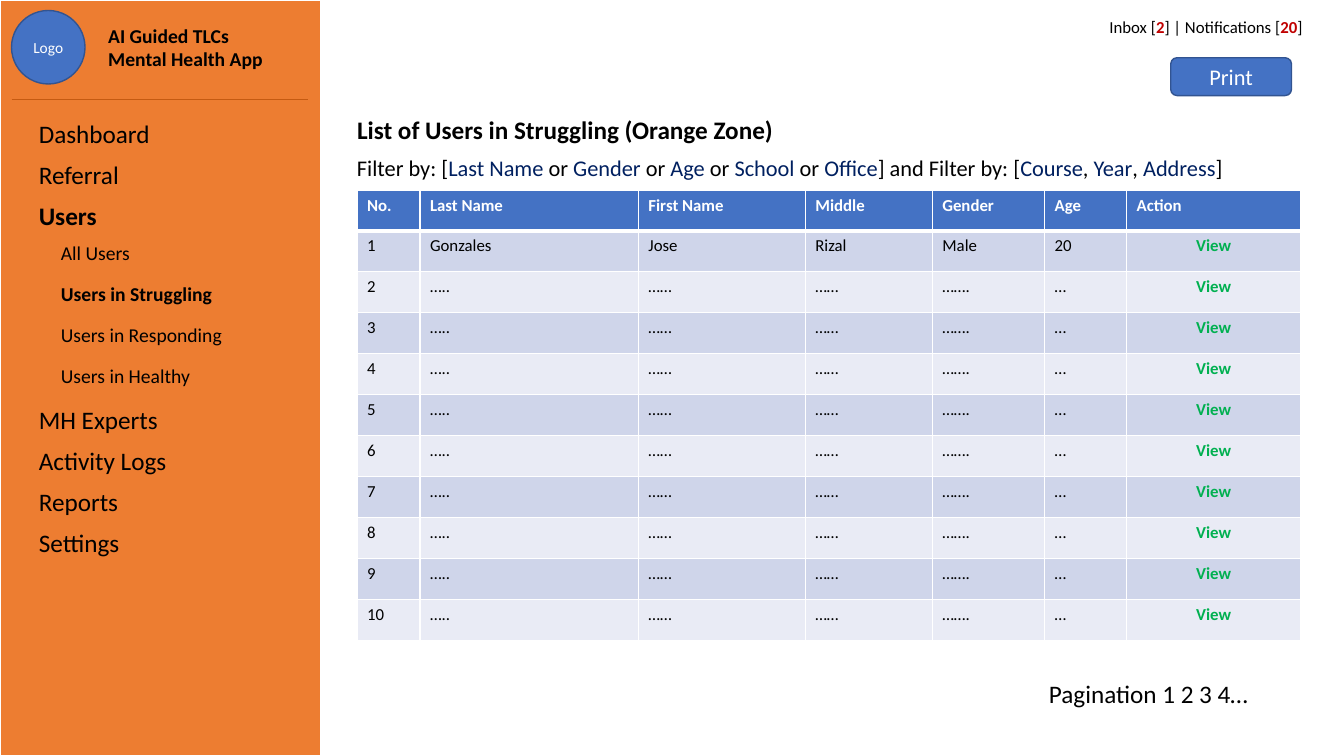
import dataclasses

import lxml.etree
import pptx
import pptx.dml.color
import pptx.enum.shapes
import pptx.enum.text
import pptx.oxml.ns
import pptx.util

EMU_PER_PX = 9525
SHAPES = pptx.enum.shapes.MSO_SHAPE
ALIGN = pptx.enum.text.PP_ALIGN
ANCHOR = pptx.enum.text.MSO_ANCHOR
PLAIN_TABLE_STYLE = "{2D5ABB26-0587-4C30-8999-92F81FD0307C}"


@dataclasses.dataclass(frozen=True)
class Theme:
    font: str = "Calibri"
    sidebar: str = "ED7D31"
    divider: str = "C55A11"
    accent: str = "4472C4"
    accent_edge: str = "325491"
    white: str = "FFFFFF"
    black: str = "000000"
    band_dark: str = "CFD5EA"
    band_light: str = "E9EBF5"
    count: str = "C00000"
    filter: str = "002060"
    view: str = "00B050"
    heading_size: int = 18
    filter_size: int = 16
    submenu_size: int = 14
    small_size: int = 12
    logo_size: int = 11


THEME = Theme()

MENU = [
    ("Dashboard", 0), ("Referral", 0), ("Users", 0),
    ("All Users", 1), ("Users in Struggling", 1),
    ("Users in Responding", 1), ("Users in Healthy", 1),
    ("MH Experts", 0), ("Activity Logs", 0), ("Reports", 0), ("Settings", 0),
]
ACTIVE_ITEMS = {"Users", "Users in Struggling"}
USER_COLUMNS = {
    "No.": 60, "Last Name": 208, "First Name": 159, "Middle": 121,
    "Gender": 107, "Age": 78, "Action": 166,
}
FIRST_USER = ["Gonzales", "Jose", "Rizal", "Male", "20"]
BLANK_USER = ["…..", "……", "……", "…….", "…"]
USER_COUNT = 10
ROW_HEIGHT = 39


def px(length):
    return pptx.util.Emu(length * EMU_PER_PX)


def box(*lengths):
    return [px(length) for length in lengths]


def rgb(color):
    return pptx.dml.color.RGBColor.from_string(color)


def write(frame, text, size=THEME.small_size, color=THEME.black, bold=False, align=ALIGN.LEFT):
    runs = [(text, color, bold)] if isinstance(text, str) else text
    paragraph = frame.paragraphs[0]
    paragraph.alignment = align
    for run_text, run_color, run_bold in runs:
        run = paragraph.add_run()
        run.text = run_text
        run.font.name = THEME.font
        run.font.size = pptx.util.Pt(size)
        run.font.bold = run_bold
        run.font.color.rgb = rgb(run_color)


def plain(text):
    return (text, THEME.black, False)


def filter_runs(names, separator):
    runs = []
    for name in names:
        runs += [plain(separator), (name, THEME.filter, False)]
    return runs[1:]


def add_text(slide, bounds, text, left_margin=10, **text_format):
    frame = slide.shapes.add_textbox(*box(*bounds)).text_frame
    frame.word_wrap = True
    frame.margin_left = px(left_margin)
    write(frame, text, **text_format)


def add_panel(slide, kind, bounds, fill, edge, edge_width, text="", **text_format):
    shape = slide.shapes.add_shape(kind, *box(*bounds))
    shape.shadow.inherit = False
    shape.fill.solid()
    shape.fill.fore_color.rgb = rgb(fill)
    shape.line.color.rgb = rgb(edge)
    shape.line.width = pptx.util.Pt(edge_width)
    if text:
        shape.text_frame.vertical_anchor = ANCHOR.MIDDLE
        write(shape.text_frame, text, color=THEME.white, align=ALIGN.CENTER, **text_format)


def add_divider(slide, left, right, top):
    line = slide.shapes.add_connector(
        pptx.enum.shapes.MSO_CONNECTOR.STRAIGHT, *box(left, top, right, top))
    line.line.color.rgb = rgb(THEME.divider)
    line.line.width = pptx.util.Pt(0.5)
    properties = line.element.find(pptx.oxml.ns.qn("p:spPr"))
    lxml.etree.SubElement(properties, pptx.oxml.ns.qn("a:effectLst"))


def add_plain_table(slide, left, top, widths, row_count):
    frame = slide.shapes.add_table(
        row_count, len(widths), *box(left, top, sum(widths), row_count * ROW_HEIGHT))
    style = frame.element.find(".//" + pptx.oxml.ns.qn("a:tableStyleId"))
    style.text = PLAIN_TABLE_STYLE
    table = frame.table
    table.horz_banding = False
    for column, width in zip(table.columns, widths):
        column.width = px(width)
    for row in table.rows:
        row.height = px(ROW_HEIGHT)
    return table


def style_cell(cell, fill, top_width, bottom_width):
    properties = cell._tc.get_or_add_tcPr()
    sides = {"lnL": 1, "lnR": 1, "lnT": top_width, "lnB": bottom_width}
    for side, width in sides.items():
        border = lxml.etree.SubElement(
            properties, pptx.oxml.ns.qn("a:" + side), w=str(pptx.util.Pt(width)))
        solid = lxml.etree.SubElement(border, pptx.oxml.ns.qn("a:solidFill"))
        lxml.etree.SubElement(solid, pptx.oxml.ns.qn("a:srgbClr"), val=THEME.white)
    cell.fill.solid()
    cell.fill.fore_color.rgb = rgb(fill)


def add_menu(slide):
    table = add_plain_table(slide, 27, 109, [253], len(MENU))
    table.first_row = False
    for index, (label, level) in enumerate(MENU):
        cell = table.cell(index, 0)
        cell.margin_left = px(10 + 21 * level)
        size = THEME.submenu_size if level else THEME.heading_size
        write(cell.text_frame, label, size=size, bold=label in ACTIVE_ITEMS)


def add_users(slide):
    rows = [list(USER_COLUMNS)]
    for number in range(1, USER_COUNT + 1):
        details = FIRST_USER if number == 1 else BLANK_USER
        rows.append([str(number), *details, "View"])
    table = add_plain_table(slide, 340, 181, list(USER_COLUMNS.values()), len(rows))
    for row_index, values in enumerate(rows):
        header = row_index == 0
        band = THEME.band_dark if row_index % 2 else THEME.band_light
        for column_index, value in enumerate(values):
            cell = table.cell(row_index, column_index)
            style_cell(cell, THEME.accent if header else band,
                       top_width=3 if row_index == 1 else 1, bottom_width=3 if header else 1)
            if header:
                write(cell.text_frame, value, color=THEME.white, bold=True)
            elif value == "View":
                write(cell.text_frame, value, color=THEME.view, bold=True, align=ALIGN.CENTER)
            else:
                write(cell.text_frame, value)


def set_title(slide, bounds, text):
    title = slide.shapes.title
    title.left, title.top, title.width, title.height = box(*bounds)
    frame = title.text_frame
    frame.auto_size = pptx.enum.text.MSO_AUTO_SIZE.NONE
    frame.word_wrap = True
    frame.vertical_anchor = ANCHOR.TOP
    frame.margin_left = 0
    write(frame, text, size=THEME.heading_size, bold=True)


def main():
    presentation = pptx.Presentation()
    presentation.slide_width, presentation.slide_height = box(1280, 720)
    slide = presentation.slides.add_slide(presentation.slide_layouts[5])

    set_title(slide, (340, 104, 420, 38), "List of Users in Struggling (Orange Zone)")
    add_panel(slide, SHAPES.RECTANGLE, (0, 0, 306, 720), THEME.sidebar, THEME.white, 1.5)
    add_menu(slide)
    add_panel(slide, SHAPES.OVAL, (11, 10, 70, 70), THEME.accent, THEME.accent_edge, 1,
              "Logo", size=THEME.logo_size)
    add_text(slide, (93, 18, 176, 55), "AI Guided TLCs Mental Health App",
             size=THEME.submenu_size, bold=True)
    add_divider(slide, 11, 293, 95)

    add_text(slide, (995, 11, 255, 29), [
        plain("Inbox ["), ("2", THEME.count, True),
        plain("] | Notifications ["), ("20", THEME.count, True), plain("]"),
    ], align=ALIGN.RIGHT)
    add_panel(slide, SHAPES.ROUNDED_RECTANGLE, (1115, 55, 115, 36), THEME.accent,
              THEME.accent_edge, 1, "Print", size=THEME.filter_size)
    add_text(slide, (340, 142, 899, 36), [
        plain("Filter by: ["),
        *filter_runs(["Last Name", "Gender", "Age", "School", "Office"], " or "),
        plain("] and Filter by: ["),
        *filter_runs(["Course", "Year", "Address"], ", "),
        plain("]"),
    ], left_margin=0, size=THEME.filter_size)
    add_users(slide)
    add_text(slide, (989, 641, 250, 38), "Pagination 1 2 3 4…", size=THEME.heading_size)

    presentation.save("out.pptx")


if __name__ == "__main__":
    main()
